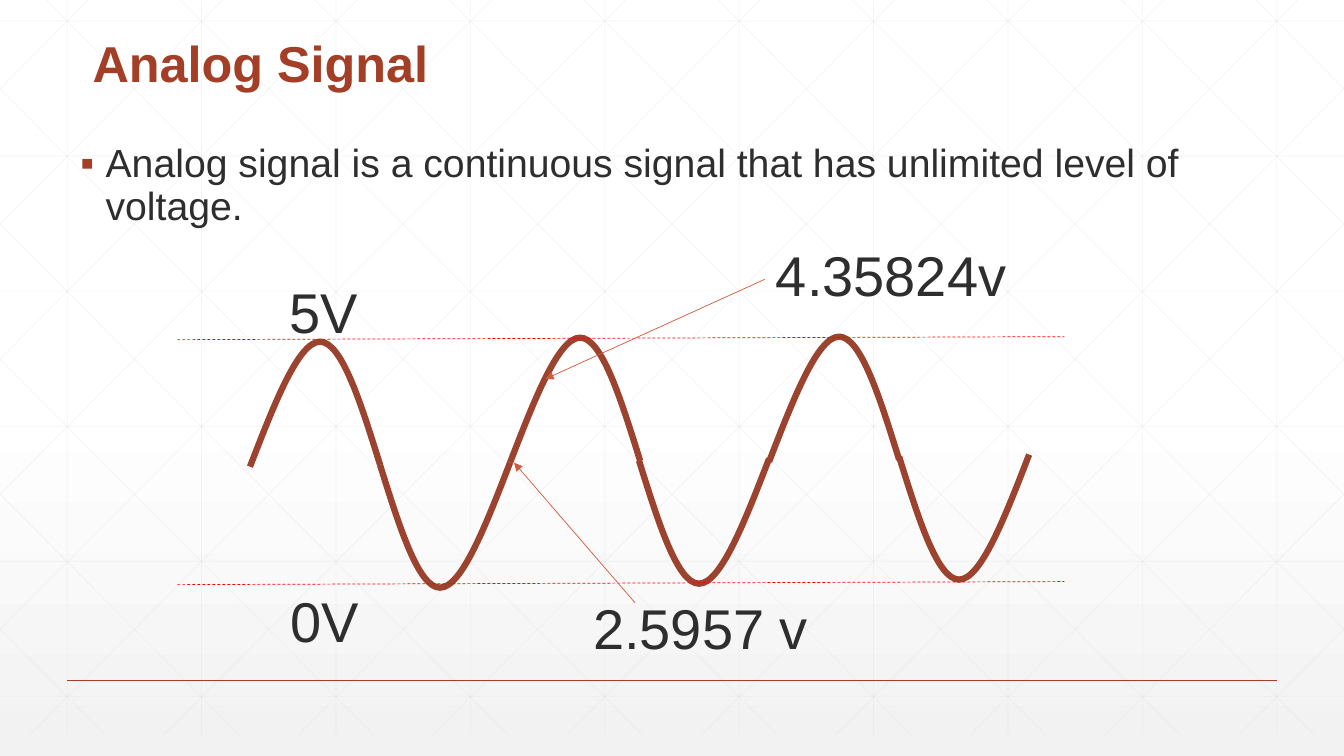
from dataclasses import dataclass
from typing import Optional

from lxml.etree import SubElement
from pptx import Presentation
from pptx.dml.color import RGBColor
from pptx.enum.dml import MSO_LINE
from pptx.enum.shapes import MSO_CONNECTOR
from pptx.enum.text import MSO_ANCHOR, PP_ALIGN
from pptx.oxml.ns import qn
from pptx.util import Inches, Pt

# Grid of square cells, twelve to the inch
COLS, ROWS = 160, 90
RUST, INK, WAVE = "A43F27", "2D2E2D", "9B432E"
RED, CORAL, GREY = "FF0000", "D15A3E", "D9D9D9"


@dataclass
class Line:
    x1: float
    y1: float
    x2: float
    y2: float
    color: str
    width: float = 0.5
    dash: bool = False
    arrow: bool = False
    alpha: Optional[int] = None


@dataclass
class Text:
    words: str
    x: float
    y: float
    w: float
    h: float
    size: int = 40
    color: str = INK
    bold: bool = False
    align: PP_ALIGN = PP_ALIGN.CENTER
    anchor: MSO_ANCHOR = MSO_ANCHOR.TOP
    space: float = 1.0
    bullet: Optional[str] = None


@dataclass
class Half:
    x: float
    y: float
    turn: int = 0  # 180 makes the crest a trough


def cell(n: float) -> int:
    return Inches(n / 12)


def rgb(code: str) -> RGBColor:
    return RGBColor.from_string(code)


def draw_line(item: Line) -> None:
    ends = [cell(n) for n in (item.x1, item.y1, item.x2, item.y2)]
    shape = slide.shapes.add_connector(MSO_CONNECTOR.STRAIGHT, *ends)
    shape.line.color.rgb = rgb(item.color)
    shape.line.width = Pt(item.width)
    if item.dash:
        shape.line.dash_style = MSO_LINE.DASH
    props = shape._element.spPr
    stroke = props.find(qn("a:ln"))
    if item.alpha is not None:
        tint = stroke.find(".//" + qn("a:srgbClr"))
        SubElement(tint, qn("a:alpha"), val=str(item.alpha * 1000))
    if item.arrow:
        SubElement(stroke, qn("a:tailEnd"), type="triangle")
    SubElement(props, qn("a:effectLst"))


def draw_text(item: Text) -> None:
    place = [cell(n) for n in (item.x, item.y, item.w, item.h)]
    frame = slide.shapes.add_textbox(*place).text_frame
    frame.word_wrap = True
    frame.vertical_anchor = item.anchor
    para = frame.paragraphs[0]
    para.text = item.words
    para.alignment = item.align
    para.line_spacing = item.space
    para.font.name = "Arial"
    para.font.size = Pt(item.size)
    para.font.bold = item.bold
    para.font.color.rgb = rgb(item.color)
    if item.bullet:
        props = para._p.get_or_add_pPr()
        props.set("marL", str(cell(3)))
        props.set("indent", str(-cell(3)))
        mark = SubElement(props, qn("a:buClr"))
        SubElement(mark, qn("a:srgbClr"), val=RUST)
        SubElement(props, qn("a:buFont"), typeface="Arial")
        SubElement(props, qn("a:buChar"), char=item.bullet)
        # Bullet marks must precede the default run properties
        props.append(props.find(qn("a:defRPr")))


def draw_half(item: Half) -> None:
    # Start, then two control points and an end for each flank
    knots = ((0, 14.88), (2.88, 7.44), (5.76, 0), (8.34, 0),
             (10.92, 0), (13.2, 7.32), (15.48, 14.64))
    points = [(cell(item.x + x), cell(item.y + y)) for x, y in knots]
    pen = slide.shapes.build_freeform(*points[0])
    pen.add_line_segments(points[1:], close=False)
    shape = pen.convert_to_shape()
    # Join each three steps into one cubic curve
    route = shape._element.find(".//" + qn("a:path"))
    steps = route.findall(qn("a:lnTo"))
    for n in range(0, len(steps), 3):
        bend = SubElement(route, qn("a:cubicBezTo"))
        for step in steps[n:n + 3]:
            bend.append(step[0])
            route.remove(step)
    shape.rotation = item.turn
    shape.shadow.inherit = False
    shape.fill.background()
    shape.line.color.rgb = rgb(WAVE)
    shape.line.width = Pt(4.5)


def lattice() -> list[Line]:
    top, base, step, run = -2.5, 87.5, 16, 89.5
    ends = [(8 + step * i, top, 8 + step * i, base) for i in range(10)]
    ends += [(0, 2.5 + 16.08 * j, COLS, 2.5 + 16.08 * j) for j in range(6)]
    slope = (base - top) / run
    for i in range(-5, 10):
        x = 3 + step * i
        left, right = max(x, 0), min(x + run, COLS)
        y1, y2 = top + (left - x) * slope, top + (right - x) * slope
        # Each slant has a mirror twin
        ends += [(left, y1, right, y2), (COLS - left, y1, COLS - right, y2)]
    return [Line(*end, GREY, alpha=25) for end in ends]


deck = Presentation()
deck.slide_width, deck.slide_height = cell(COLS), cell(ROWS)
slide = deck.slides.add_slide(deck.slide_layouts[6])

# Background fade
fade = slide.background.fill
fade.gradient()
fade.gradient_angle = 270
for stop, (spot, code) in zip(fade.gradient_stops, ((0.53, "FFFFFF"), (1, "F2F2F2"))):
    stop.position = spot
    stop.color.rgb = rgb(code)

# Lattice and foot rule
for item in lattice() + [Line(8, 81, 152, 81, RUST, 1)]:
    draw_line(item)

# Title and body
draw_text(Text("Analog Signal", 9.84, 1.44, 126, 10.32, 36, RUST, True,
               PP_ALIGN.LEFT, MSO_ANCHOR.BOTTOM, 0.9))
draw_text(Text("Analog signal is a continuous signal that has unlimited level of voltage.",
               8.4, 16.56, 143.16, 67.68, 28, align=PP_ALIGN.LEFT, space=0.9, bullet="▪"))

# Signal
for half in (
    Half(29.76, 40.68), Half(45.24, 55.08, 180),
    Half(60.72, 40.2), Half(76.08, 54.6, 180),
    Half(91.56, 40.08), Half(107.04, 54.12, 180),
):
    draw_half(half)

# Voltage limits and pointers
for y in (40.44, 69.6):
    draw_line(Line(21.12, y, 126.72, y - 0.36, RED, dash=True))
draw_line(Line(75.6, 71.76, 61.2, 55.08, CORAL, arrow=True))
draw_line(Line(91.08, 33.24, 64.92, 45.12, CORAL, arrow=True))

# Voltage labels
for words, x, y, w in (
    ("5V", 29.76, 32.4, 17.52), ("0V", 29.88, 69.24, 17.52),
    ("2.5957 v", 68.4, 70.08, 30), ("4.35824v", 91.08, 28.08, 30),
):
    draw_text(Text(words, x, y, w, 9.24))

deck.save("out.pptx")
